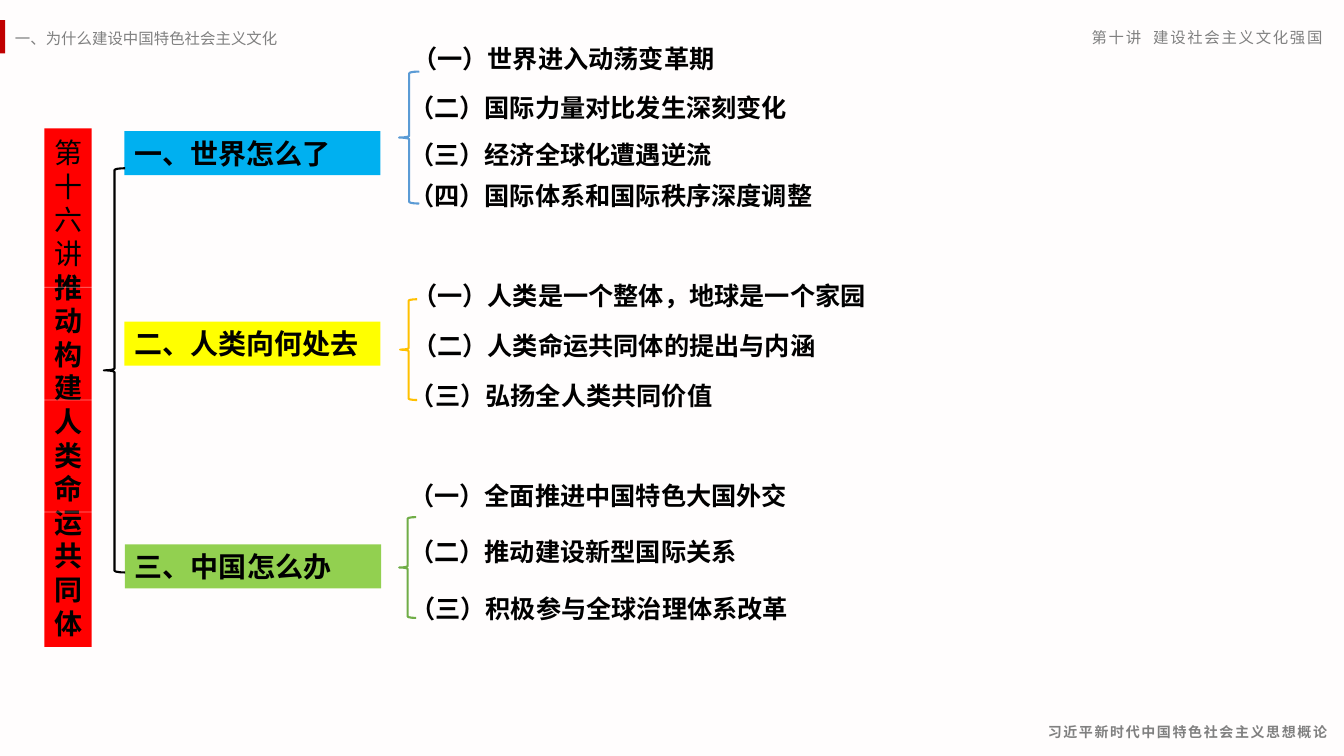
from lxml import etree
from pptx import Presentation
from pptx.dml.color import RGBColor
from pptx.enum.shapes import MSO_CONNECTOR, MSO_SHAPE
from pptx.enum.text import MSO_AUTO_SIZE, PP_ALIGN
from pptx.oxml.ns import qn
from pptx.util import Pt

RECT, BRACE = MSO_SHAPE.RECTANGLE, MSO_SHAPE.LEFT_BRACE
STRAIGHT = MSO_CONNECTOR.STRAIGHT
LEFT, RIGHT, JUSTIFY = PP_ALIGN.LEFT, PP_ALIGN.RIGHT, PP_ALIGN.JUSTIFY
GROW = MSO_AUTO_SIZE.SHAPE_TO_FIT_TEXT
SANS = "Noto Sans CJK SC"


def rgb(value):
    return RGBColor.from_string(value)


def write(sp, runs, size, color="000000", align=LEFT, spacing=None, tracking=0):
    tf = sp.text_frame
    tf.word_wrap = True
    tf.auto_size = GROW
    p = tf.paragraphs[0]
    p.alignment = align
    p.line_spacing = spacing
    for text, bold, face in runs:
        r = p.add_run()
        r.text = text
        r.font.size = Pt(size)
        r.font.bold = bold
        r.font.name = face
        r.font.color.rgb = rgb(color)
        rPr = r.font._element
        etree.SubElement(rPr, qn("a:ea")).set("typeface", face)
        if tracking:
            rPr.set("spc", str(tracking))


prs = Presentation()
prs.slide_width, prs.slide_height = Pt(960), Pt(540)
s = prs.slides.add_slide(prs.slide_layouts[6])
s.background.fill.solid()
s.background.fill.fore_color.rgb = rgb("FFFDFD")

headers = [
    ("第十讲  建设社会主义文化强国", 664.5, 16.5, 287.5, 20, 11, False, RIGHT, None, 120),
    ("习近平新时代中国特色社会主义思想概论", 716.5, 507, 238.5, 25, 10, True, RIGHT, 1.5, 120),
    ("一、为什么建设中国特色社会主义文化", 3.6, 14.4, 500, 23, 11, False, JUSTIFY, 1.2, 0),
]
for text, x, y, w, h, size, bold, align, spacing, tracking in headers:
    sp = s.shapes.add_textbox(Pt(x), Pt(y), Pt(w), Pt(h))
    write(sp, [(text, bold, SANS)], size, "808080", align, spacing, tracking)

blocks = [
    (0, 14.4, 3.6, 23.8, "C00000", []),
    (31.7, 91.7, 33.8, 370.5, "FF0000",
     [("第十六讲", False, "Noto Sans CJK JP"), ("推动构建人类命运共同体", True, SANS)]),
    (88.8, 93.6, 183, 31.5, "00B0F0", [("一、世界怎么了", True, SANS)]),
    (88.8, 229.7, 183, 31.5, "FFFF00", [("二、人类向何处去", True, SANS)]),
    (89.3, 388.8, 183, 31.5, "92D050", [("三、中国怎么办", True, SANS)]),
]
for x, y, w, h, color, runs in blocks:
    sp = s.shapes.add_shape(RECT, Pt(x), Pt(y), Pt(w), Pt(h))
    sp.shadow.inherit = False
    sp.fill.solid()
    sp.fill.fore_color.rgb = rgb(color)
    sp.line.fill.background()
    if runs:
        write(sp, runs, 20)

for y in (205.2, 285.8, 365.8):
    rule = s.shapes.add_connector(STRAIGHT, Pt(12.2), Pt(y), Pt(607.7), Pt(y))
    rule.line.color.rgb = rgb("FFFFFF")
    rule.line.width = Pt(0.5)
    color = rule._element.spPr.find(".//" + qn("a:srgbClr"))
    etree.SubElement(color, qn("a:alpha")).set("val", "50000")
    etree.SubElement(rule._element.spPr, qn("a:effectLst"))

braces = [
    (74.2, 120.2, 15.1, 288.7, "000000"),
    (285.1, 51.1, 14.4, 94.3, "5B9BD5"),
    (285.8, 213.8, 12.2, 72, "FFC000"),
    (285.1, 369.4, 12.2, 72, "70AD47"),
]
for x, y, w, h, color in braces:
    sp = s.shapes.add_shape(BRACE, Pt(x), Pt(y), Pt(w), Pt(h))
    sp.shadow.inherit = False
    sp.fill.background()
    sp.line.color.rgb = rgb(color)
    sp.line.width = Pt(1.5)

topics = [
    (310, [("（一）世界进入动荡变革期", 287.3, 27.4),
           ("（二）国际力量对比发生深刻变化", 285.1, 62.6),
           ("（三）经济全球化遭遇逆流", 285.1, 95.8),
           ("（四）国际体系和国际秩序深度调整", 285.1, 125.5)]),
    (357, [("（一）人类是一个整体，地球是一个家园", 287.3, 196.6),
           ("（二）人类命运共同体的提出与内涵", 287.3, 232.2),
           ("（三）弘扬全人类共同价值", 285.8, 268.2)]),
    (373, [("（一）全面推进中国特色大国外交", 285.1, 339.5),
           ("（二）推动建设新型国际关系", 285.1, 379.4),
           ("（三）积极参与全球治理体系改革", 285.8, 420.5)]),
]
for width, items in topics:
    for text, x, y in items:
        sp = s.shapes.add_textbox(Pt(x), Pt(y), Pt(width), Pt(29))
        write(sp, [(text, True, SANS)], 18)

prs.save("out.pptx")
